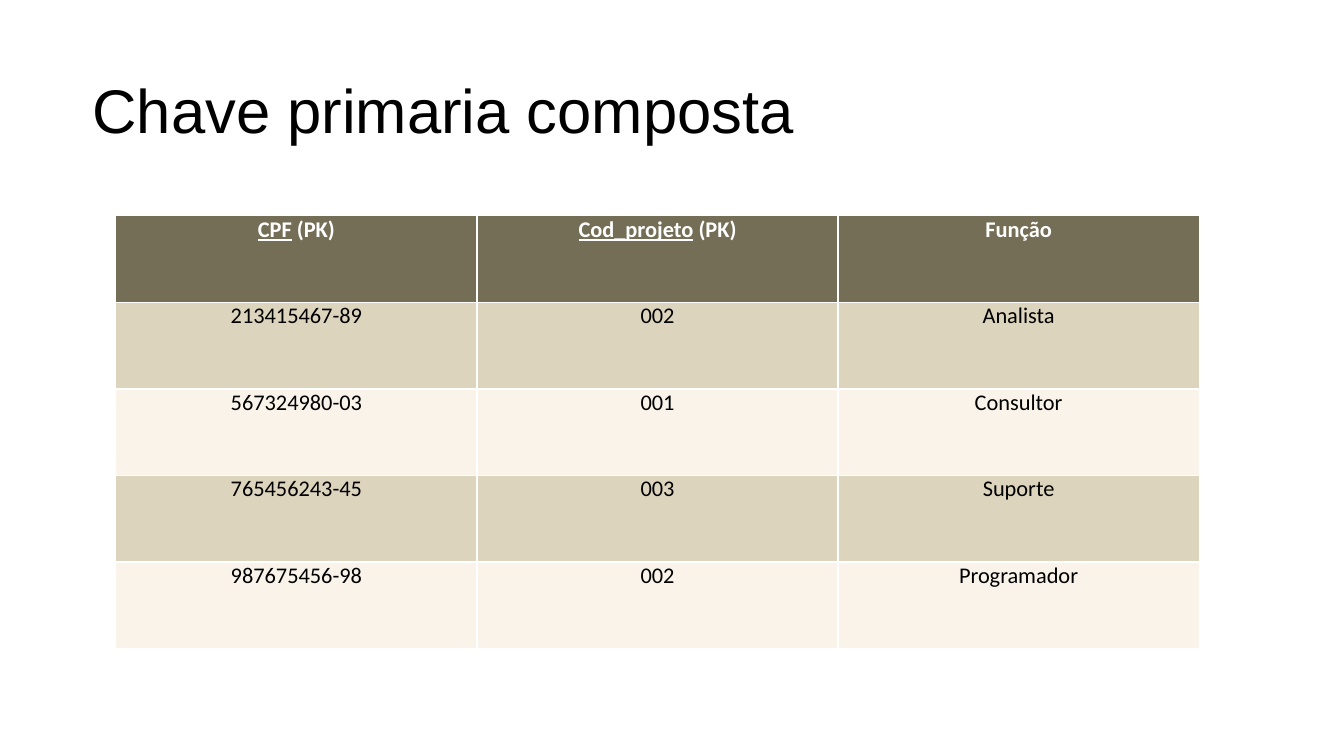
import pptx
import pptx.dml.color
import pptx.enum.text
import pptx.oxml
import pptx.oxml.ns
import pptx.util
from dataclasses import dataclass

Cm = pptx.util.Cm
Pt = pptx.util.Pt
Align = pptx.enum.text.PP_ALIGN
Anchor = pptx.enum.text.MSO_ANCHOR


@dataclass(frozen=True)
class Theme:
    title_font: str = "Arial"
    table_font: str = "Calibri"
    title_size: int = 44
    table_size: int = 16
    ink: str = "000000"
    header_ink: str = "FFFFFF"
    header_fill: str = "756E56"
    band_fills: tuple = ("DCD4BD", "F9F3EA")
    border: str = "FFFFFF"


theme = Theme()


def write_text(frame, text, *, font, size, color, bold=False, key="",
               align=Align.LEFT, line_spacing=None):
    """Fill a frame with one paragraph: the underlined key, then the text."""
    para = frame.paragraphs[0]
    para.alignment = align
    para.line_spacing = line_spacing
    for content, underline in ((key, True), (text, False)):
        if content:
            span = para.add_run()
            span.text = content
            span.font.name = font
            span.font.size = Pt(size)
            span.font.bold = bold
            span.font.underline = underline
            span.font.color.rgb = pptx.dml.color.RGBColor.from_string(color)


def style_cell(cell, fill):
    """Remove the margins, draw the borders and fill the cell."""
    cell.margin_left = cell.margin_right = cell.margin_top = cell.margin_bottom = 0
    cell.vertical_anchor = Anchor.TOP
    properties = cell._tc.get_or_add_tcPr()
    for side in ("lnL", "lnR", "lnT", "lnB"):
        properties.append(pptx.oxml.parse_xml(
            f'<a:{side} {pptx.oxml.ns.nsdecls("a")} w="{Pt(1)}"><a:solidFill>'
            f'<a:srgbClr val="{theme.border}"/></a:solidFill></a:{side}>'))
    cell.fill.solid()
    cell.fill.fore_color.rgb = pptx.dml.color.RGBColor.from_string(fill)


deck = pptx.Presentation()
deck.slide_width, deck.slide_height = Cm(33.87), Cm(19.05)
page = deck.slides.add_slide(deck.slide_layouts[6])

# Title
title_box = page.shapes.add_textbox(Cm(2.33), Cm(1.02), Cm(29.21), Cm(3.68))
title_frame = title_box.text_frame
title_frame.word_wrap = True
title_frame.vertical_anchor = Anchor.MIDDLE
title_frame.margin_left = title_frame.margin_right = 0
title_frame.margin_top = title_frame.margin_bottom = 0
write_text(title_frame, "Chave primaria composta", font=theme.title_font,
           size=theme.title_size, color=theme.ink, line_spacing=0.9)

# Table: each header is an underlined key and the text after it
headers = [("CPF", " (PK)"), ("Cod_projeto", " (PK)"), ("", "Função")]
records = [
    ("213415467-89", "002", "Analista"),
    ("567324980-03", "001", "Consultor"),
    ("765456243-45", "003", "Suporte"),
    ("987675456-98", "002", "Programador"),
]
column_width, row_height = Cm(9.1), Cm(2.18)
row_count = len(records) + 1
table = page.shapes.add_table(
    row_count, len(headers), Cm(2.92), Cm(5.44),
    column_width * len(headers), row_height * row_count).table
for column in table.columns:
    column.width = column_width
for row in table.rows:
    row.height = row_height

for column_index, (key, text) in enumerate(headers):
    cell = table.cell(0, column_index)
    style_cell(cell, theme.header_fill)
    write_text(cell.text_frame, text, key=key, font=theme.table_font,
               size=theme.table_size, color=theme.header_ink, bold=True,
               align=Align.CENTER)

for record_index, record in enumerate(records):
    for column_index, text in enumerate(record):
        cell = table.cell(record_index + 1, column_index)
        style_cell(cell, theme.band_fills[record_index % 2])
        write_text(cell.text_frame, text, font=theme.table_font,
                   size=theme.table_size, color=theme.ink, align=Align.CENTER)

deck.save("out.pptx")
